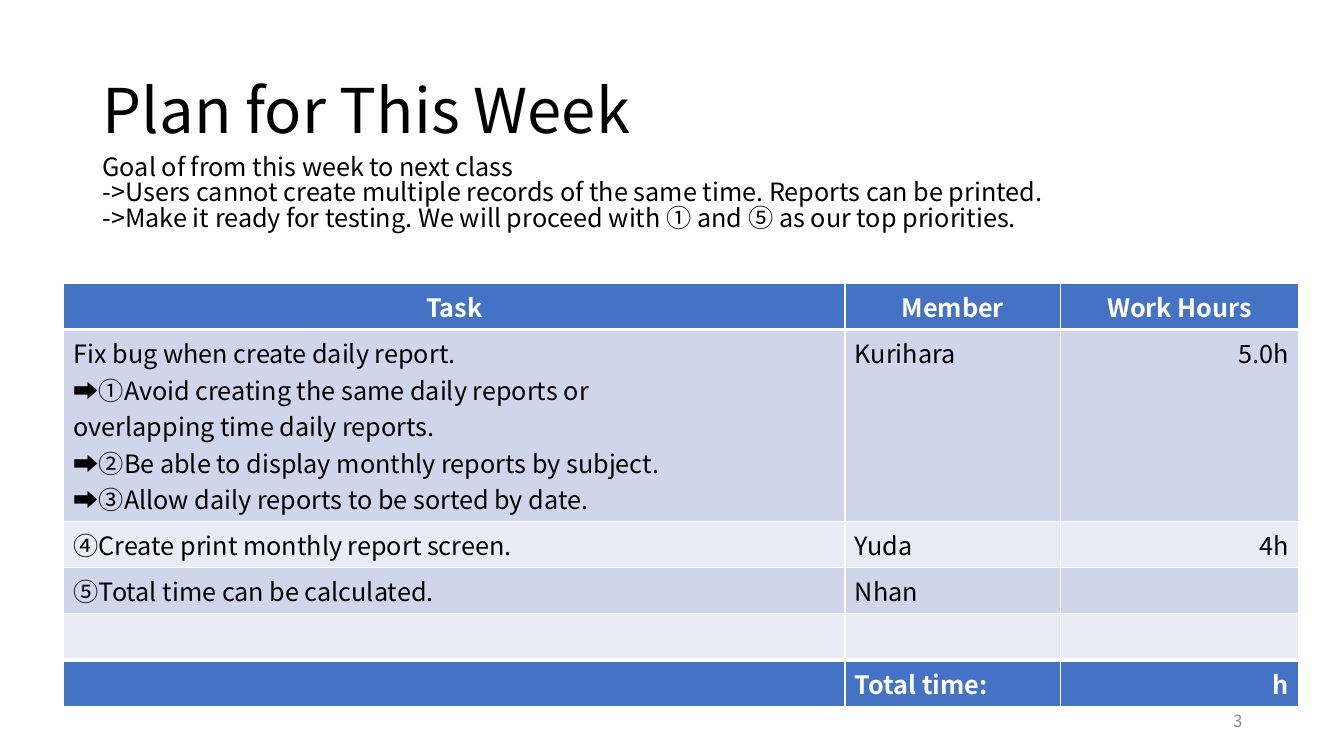
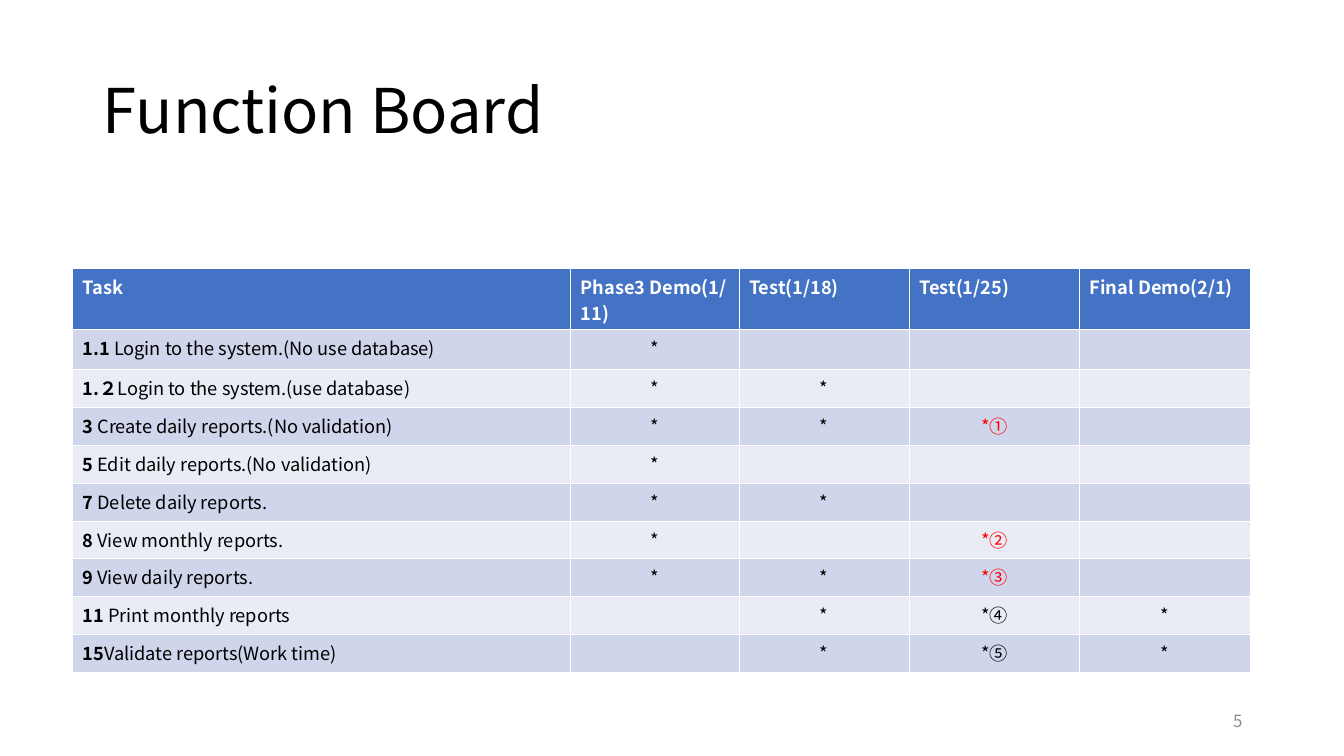
import dataclasses

import lxml.etree
import pptx
import pptx.dml.color
import pptx.enum.text
import pptx.oxml.ns
import pptx.util

Inches = pptx.util.Inches
Align = pptx.enum.text.PP_ALIGN
Anchor = pptx.enum.text.MSO_ANCHOR
qn = pptx.oxml.ns.qn


@dataclasses.dataclass(frozen=True)
class Theme:
    """Colours, font and type sizes shared by the slides."""
    font: str = "Noto Sans CJK JP"
    text: str = "000000"
    light: str = "FFFFFF"
    head: str = "4472C4"
    bands: tuple = ("CFD5EA", "E9EBF5")
    alert: str = "FF0000"
    muted: str = "8C8C8C"
    title: int = 44
    body: int = 18
    small: int = 13
    note: int = 12


THEME = Theme()

GOALS = (
    "Goal of from this week to next class",
    "->Users cannot create multiple records of the same time. Reports can be printed.",
    "->Make it ready for testing. We will proceed with ① and ⑤\u00a0as our top priorities.",
)
FIXES = (
    "Fix bug when create daily report.",
    "➡\ufe0e①Avoid creating the same daily reports\u00a0or "
    "overlapping\u00a0time\u00a0daily\u00a0reports.",
    "➡\ufe0e②Be able to display monthly reports by subject.",
    "➡\ufe0e③Allow daily reports to be sorted by date.",
)
PLAN = (
    ("Task", "Member", "Work Hours"),
    ("\n".join(FIXES), "Kurihara", "5.0h"),
    ("④Create print monthly report screen.", "Yuda", "4h"),
    ("⑤Total time can be calculated.", "Nhan", ""),
    ("", "", ""),
    ("", "Total time:", "h"),
)
BOARD = (
    ("Task", "Phase3\u00a0Demo(1/11)", "Test(1/18)", "Test(1/25)", "Final Demo(2/1)"),
    (("1.1", "\u00a0Login to the system.(No use database)"), "*", "", "", ""),
    (("1.２", "Login to the system.(use database)"), "*", "*", "", ""),
    (("3", "\u00a0Create daily reports.(No validation)"), "*", "*", "*①", ""),
    (("5", "\u00a0Edit daily reports.(No validation)"), "*", "", "", ""),
    (("7", "\u00a0Delete daily reports.\u00a0"), "*", "*", "", ""),
    (("8", "\u00a0View monthly reports."), "*", "", "*②", ""),
    (("9", "\u00a0View daily reports."), "*", "*", "*③", ""),
    (("11", "\u00a0Print monthly reports"), "", "*", "*④", "*"),
    (("15", "Validate reports(Work time)"), "", "*", "*⑤", "*"),
)
URGENT = ("*①", "*②", "*③")


def rgb(code):
    """Turn a hex code into a colour."""
    return pptx.dml.color.RGBColor.from_string(code)


def style(frame, size, color=THEME.text, bold=False, align=Align.LEFT, pitch=None):
    """Format all paragraphs and runs of a text frame."""
    for para in frame.paragraphs:
        para.alignment = align
        para.line_spacing = pitch
        for run in para.runs:
            font = run.font
            font.name, font.size, font.bold = THEME.font, pptx.util.Pt(size), bold
            font.color.rgb = rgb(color)
            east = lxml.etree.SubElement(font._element, qn("a:ea"))
            east.set("typeface", THEME.font)
        if not para.runs:
            end = lxml.etree.SubElement(para._p, qn("a:endParaRPr"))
            end.set("sz", str(size * 100))


def border(cell, width, top, base):
    """Draw light borders around a cell, widths in points."""
    props = cell._tc.get_or_add_tcPr()
    for side, points in zip("LRTB", (width, width, top, base)):
        line = lxml.etree.SubElement(props, qn("a:ln" + side))
        line.set("w", str(pptx.util.Pt(points)))
        fill = lxml.etree.SubElement(line, qn("a:solidFill"))
        lxml.etree.SubElement(fill, qn("a:srgbClr")).set("val", THEME.light)


def write(cell, value, size, color, bold, align):
    """Write a cell; a pair gets a bold lead."""
    frame = cell.text_frame
    if isinstance(value, tuple):
        lead, rest = value
        frame.text = lead
        frame.paragraphs[0].add_run().text = rest
    else:
        frame.text = value
    style(frame, size, color, bold, align)
    if isinstance(value, tuple):
        frame.paragraphs[0].runs[0].font.bold = True


def grid(slide, rows, left, top, widths, heights, size, aligns, heads,
         line=1, rule=1, total=False):
    """Add a banded table with a head row and, if asked, a total row."""
    table = slide.shapes.add_table(
        len(rows), len(widths), Inches(left), Inches(top),
        Inches(sum(widths)), Inches(sum(heights))).table
    for col, width in zip(table.columns, widths):
        col.width = Inches(width)
    for row, height in zip(table.rows, heights):
        row.height = Inches(height)
    last = len(rows) - 1 if total else None
    for i, values in enumerate(rows):
        strong = i in (0, last)
        for j, value in enumerate(values):
            cell = table.cell(i, j)
            above = rule if i in (1, last) else line
            below = rule if i == 0 or (total and i == last - 1) else line
            border(cell, line, above, below)
            cell.fill.solid()
            cell.fill.fore_color.rgb = rgb(
                THEME.head if strong else THEME.bands[(i - 1) % 2])
            color = THEME.light if strong else THEME.text
            if value in URGENT:
                color = THEME.alert
            write(cell, value, size, color, strong, heads if i == 0 else aligns[j])


def label(slide, text, left, top, width, height, size, color=THEME.text,
          align=Align.LEFT, anchor=Anchor.TOP, pitch=None):
    """Add a wrapping text box."""
    box = slide.shapes.add_textbox(*map(Inches, (left, top, width, height)))
    frame = box.text_frame
    frame.word_wrap = True
    frame.vertical_anchor = anchor
    frame.text = text
    style(frame, size, color, align=align, pitch=pitch)


def page(deck, title, number):
    """Add a slide with its title and page number."""
    slide = deck.slides.add_slide(deck.slide_layouts[5])
    shape = slide.shapes.title
    shape.left, shape.top = Inches(0.92), Inches(0.4)
    shape.width, shape.height = Inches(11.5), Inches(1.45)
    frame = shape.text_frame
    frame.text = title
    frame.vertical_anchor = Anchor.MIDDLE
    frame.auto_size = pptx.enum.text.MSO_AUTO_SIZE.NONE
    style(frame, THEME.title, pitch=0.9)
    label(slide, str(number), 9.42, 6.95, 3, 0.4, THEME.note, THEME.muted,
          Align.RIGHT, Anchor.MIDDLE)
    return slide


def main():
    """Build and save the deck."""
    deck = pptx.Presentation()
    deck.slide_width, deck.slide_height = Inches(13.33), Inches(7.5)

    plan = page(deck, "Plan for This Week", 3)
    label(plan, "\n".join(GOALS), 0.92, 1.5, 9.96, 1.31, THEME.body, pitch=0.84)
    grid(plan, PLAN, 0.63, 2.81, (7.75, 2.14, 2.36), [0.46, 1.9] + [0.46] * 4,
         THEME.body, (Align.LEFT, Align.LEFT, Align.RIGHT), Align.CENTER,
         rule=3, total=True)

    board = page(deck, "Function Board", 5)
    grid(board, BOARD, 0.72, 2.66, [4.94, 1.67] + [1.69] * 3,
         [0.61, 0.4] + [3 / 8] * 8, THEME.small,
         [Align.LEFT] + [Align.CENTER] * 4, Align.LEFT, line=0.75, rule=0.75)

    deck.save("out.pptx")


main()
